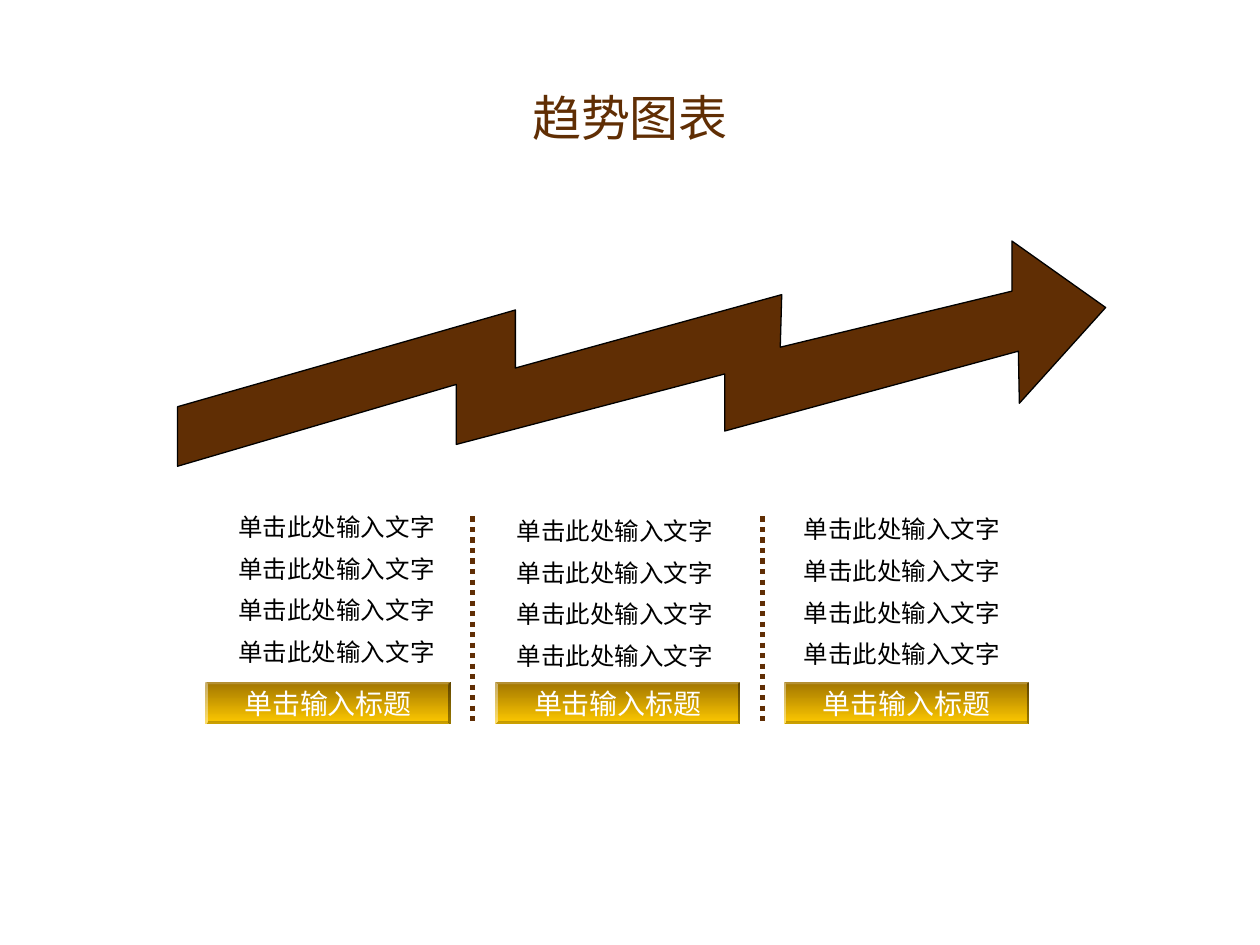
"""Build a trend slide: a rising zigzag arrow above three captioned columns."""
from dataclasses import dataclass

from lxml import etree
from pptx import Presentation
from pptx import util as u
from pptx.dml.color import RGBColor
from pptx.enum import dml, shapes, text
from pptx.oxml.ns import qn

FONT = "Noto Sans CJK SC"
COLOURS = {
    "brown": "602E04",
    "black": "000000",
    "white": "FFFFFF",
    "dark_gold": "A07400",
    "gold": "FFCA00",
}
ARROW_POINTS = [
    (358, 820), (1039, 625), (1039, 742), (1576, 594), (1573, 700),
    (2040, 587), (2040, 486), (2229, 620), (2055, 813), (2053, 708),
    (1461, 869), (1461, 754), (920, 896), (920, 775), (358, 940),
]
LINE_TEXT = "单击此处输入文字"
LINES_PER_COLUMN = 4
DIVIDERS = (9.53, 15.37)


@dataclass
class Column:
    button_left: float
    text_left: float
    text_top: float
    caption: str = "单击输入标题"


COLUMNS = [
    Column(4.14, 4.17, 10.26),
    Column(9.98, 9.78, 10.34),
    Column(15.8, 15.57, 10.31),
]


def colour(name: str) -> RGBColor:
    return RGBColor.from_string(COLOURS[name])


def format_text(frame, size: float, colour_name: str) -> None:
    for paragraph in frame.paragraphs:
        paragraph.alignment = text.PP_ALIGN.CENTER
        for run in paragraph.runs:
            run.font.size = u.Pt(size)
            run.font.name = FONT
            run.font.color.rgb = colour(colour_name)
            east_asian = etree.SubElement(run.font._element, qn("a:ea"))
            east_asian.set("typeface", FONT)


def add_title(slide, title: str) -> None:
    shape = slide.shapes.title
    shape.left, shape.top = u.Cm(1.27), u.Cm(0.76)
    shape.width, shape.height = u.Cm(22.86), u.Cm(3.18)
    shape.text_frame.text = title
    shape.text_frame.vertical_anchor = text.MSO_ANCHOR.MIDDLE
    format_text(shape.text_frame, 28, "brown")


def add_arrow(slide) -> None:
    builder = slide.shapes.build_freeform(*ARROW_POINTS[0], scale=u.Cm(0.01))
    builder.add_line_segments(ARROW_POINTS[1:], close=True)
    shape = builder.convert_to_shape()
    shape.shadow.inherit = False
    shape.fill.solid()
    shape.fill.fore_color.rgb = colour("brown")
    shape.line.color.rgb = colour("black")
    shape.line.width = u.Pt(0.75)


def add_button(slide, column: Column) -> None:
    shape = slide.shapes.add_shape(
        shapes.MSO_SHAPE.BEVEL,
        u.Cm(column.button_left), u.Cm(13.74), u.Cm(4.95), u.Cm(0.86),
    )
    shape.adjustments[0] = 0.06
    shape.shadow.inherit = False
    shape.line.fill.background()
    shape.fill.gradient()
    shape.fill.gradient_angle = 270
    for stop, name in zip(shape.fill.gradient_stops, ("dark_gold", "gold")):
        stop.color.rgb = colour(name)
    frame = shape.text_frame
    frame.text = column.caption
    frame.word_wrap = False
    frame.vertical_anchor = text.MSO_ANCHOR.MIDDLE
    format_text(frame, 16, "white")


def add_lines(slide, column: Column) -> None:
    box = slide.shapes.add_textbox(
        u.Cm(column.text_left), u.Cm(column.text_top), u.Cm(5.23), u.Cm(3.3)
    )
    frame = box.text_frame
    frame.text = "\n".join([LINE_TEXT] * LINES_PER_COLUMN)
    frame.word_wrap = True
    frame.auto_size = text.MSO_AUTO_SIZE.SHAPE_TO_FIT_TEXT
    for index, paragraph in enumerate(frame.paragraphs):
        paragraph.line_spacing = u.Pt(15)
        paragraph.space_before = u.Pt(8.8 if index else 0)
        properties = paragraph._p.get_or_add_pPr()
        properties.set("marL", str(u.Cm(0.33)))
        properties.set("indent", str(-u.Cm(0.33)))
    format_text(frame, 14, "black")


def add_divider(slide, left: float) -> None:
    connector = slide.shapes.add_connector(
        shapes.MSO_CONNECTOR.STRAIGHT,
        u.Cm(left), u.Cm(10.41), u.Cm(left), u.Cm(14.58),
    )
    connector.line.color.rgb = colour("brown")
    connector.line.width = u.Pt(3)
    connector.line.dash_style = dml.MSO_LINE.ROUND_DOT
    etree.SubElement(connector._element.spPr, qn("a:effectLst"))


def main() -> None:
    presentation = Presentation()
    presentation.slide_width, presentation.slide_height = u.Cm(25.4), u.Cm(19.05)
    slide = presentation.slides.add_slide(presentation.slide_layouts[5])
    add_title(slide, "趋势图表")
    add_arrow(slide)
    for column in COLUMNS:
        add_button(slide, column)
        add_lines(slide, column)
    for left in DIVIDERS:
        add_divider(slide, left)
    presentation.save("out.pptx")


if __name__ == "__main__":
    main()
